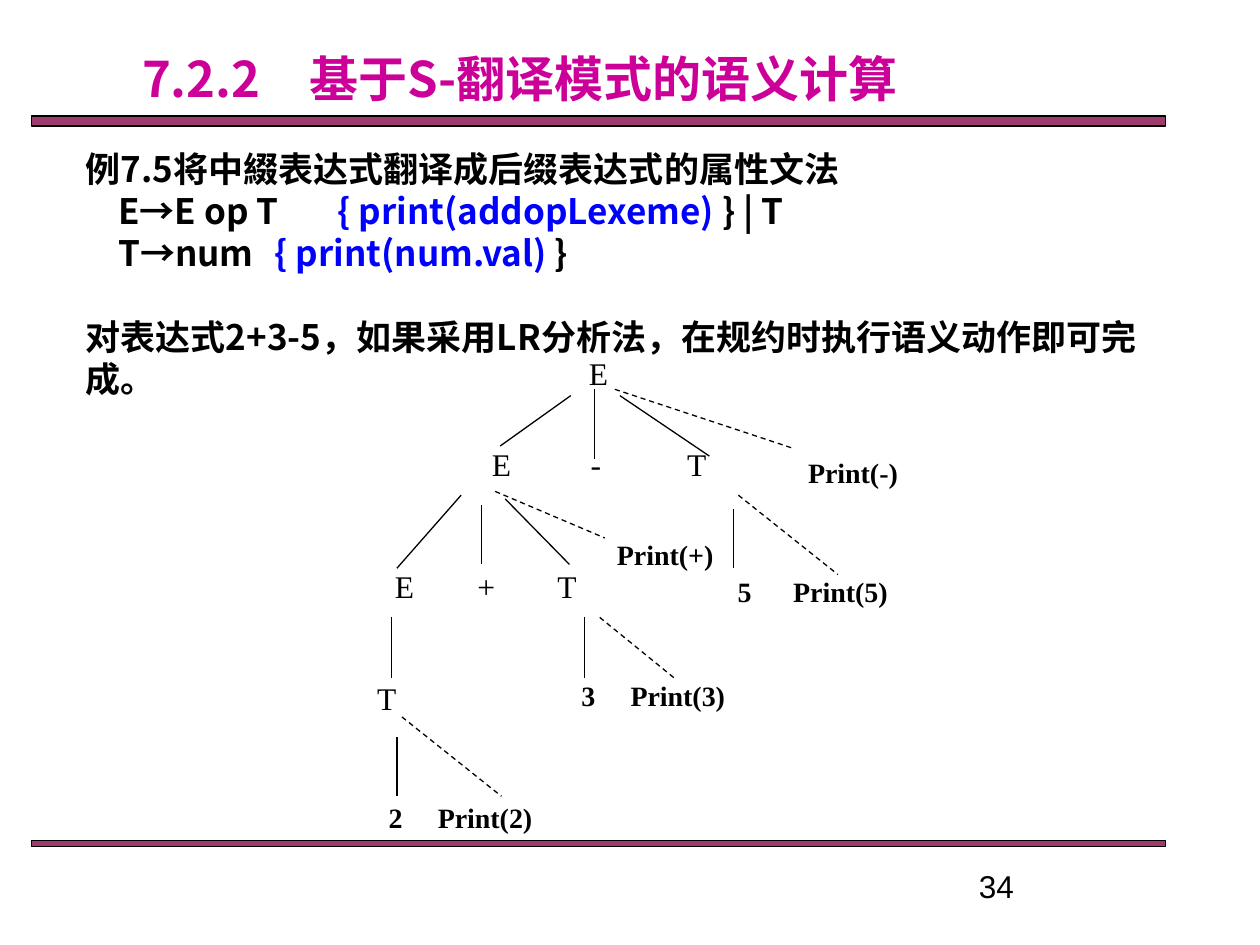
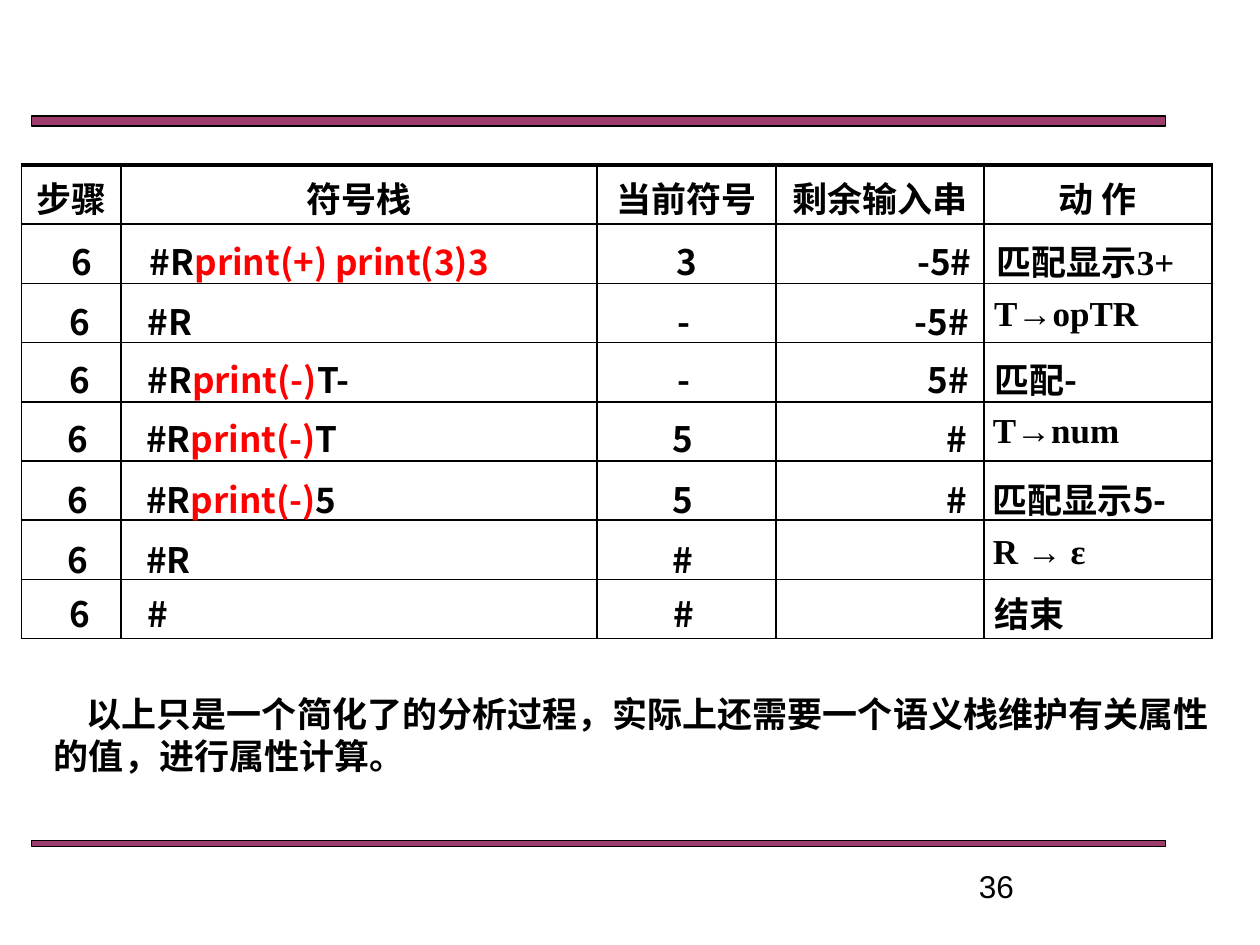
from typing import NamedTuple

from lxml import etree
from pptx import Presentation
from pptx.dml.color import RGBColor
from pptx.enum.dml import MSO_LINE
from pptx.enum.shapes import MSO_CONNECTOR, MSO_SHAPE
from pptx.enum.text import MSO_ANCHOR, MSO_AUTO_SIZE, PP_ALIGN
from pptx.oxml.ns import qn
from pptx.util import Inches, Pt

LEFT, CENTER, RIGHT = PP_ALIGN.LEFT, PP_ALIGN.CENTER, PP_ALIGN.RIGHT
TOP, MIDDLE = MSO_ANCHOR.TOP, MSO_ANCHOR.MIDDLE
NO_AUTOFIT = MSO_AUTO_SIZE.NONE
RECTANGLE = MSO_SHAPE.RECTANGLE
STRAIGHT = MSO_CONNECTOR.STRAIGHT
DASH = MSO_LINE.DASH

SANS, SERIF, NUMBER_FONT = "Noto Sans CJK SC", "Times New Roman", "Arial"
BLACK, BLUE, RED = "000000", "0000FF", "FF0000"
TITLE_COLOR, BAND_COLOR = "CC0099", "993366"
TITLE_LAYOUT, BLANK_LAYOUT = 5, 6
TEXT_PITCH = Pt(24)
INDENT, ACTION_TAB = 0.26, 1.85


class Part(NamedTuple):
    text: str
    color: str = BLACK
    font: str = SANS


HEADLINE = [Part("例7.5将中綴表达式翻译成后缀表达式的属性文法")]
RULES = [
    [Part("E→E op T\t"), Part("{ print(addopLexeme) ", BLUE), Part("} | T")],
    [Part("T→num\t"), Part("{ print(num.val) ", BLUE), Part("}")],
]
REMARK = [Part("对表达式2+3-5，如果采用LR分析法，在规约时执行语义动作即可完成。")]

SYMBOLS = [
    ("E", 4.75, 2.96),
    ("E", 3.98, 3.68), ("-", 4.73, 3.68), ("T", 5.53, 3.68),
    ("E", 3.21, 4.65), ("+", 3.86, 4.65), ("T", 4.5, 4.65),
    ("T", 3.07, 5.54),
]
NUMBERS = [("5", 5.91, 4.69), ("3", 4.67, 5.52), ("2", 3.14, 6.49)]
ACTIONS = [
    ("Print(-)", 6.77, 3.75), ("Print(+)", 5.28, 4.4),
    ("Print(5)", 6.67, 4.69), ("Print(3)", 5.38, 5.52),
    ("Print(2)", 3.85, 6.49),
]
BRANCHES = [
    (4.53, 3.14, 3.97, 3.54), (4.72, 3.09, 4.72, 3.64),
    (4.92, 3.14, 5.63, 3.62), (3.66, 3.93, 3.15, 4.51),
    (3.82, 4.01, 3.82, 4.48), (4.01, 3.96, 4.52, 4.48),
    (5.82, 4.04, 5.82, 4.51), (3.11, 4.9, 3.11, 5.38),
    (4.64, 4.9, 4.64, 5.38), (3.15, 5.85, 3.15, 6.32),
]
ACTION_BRANCHES = [
    (4.88, 3.09, 6.3, 3.56), (3.93, 3.9, 4.8, 4.27),
    (5.86, 3.93, 6.65, 4.56), (4.76, 4.9, 5.35, 5.38),
    (3.19, 5.69, 3.98, 6.32),
]

HEADINGS = ["步骤", "符号栈", "当前符号", "剩余输入串", "动 作"]
GRID_WIDTHS = [0.79, 3.78, 1.42, 1.65, 1.81]
GRID_ROW = 0.47
STEP_WIDTHS = [0.88, 3.65, 1.42, 1.65, 1.82]
STEP_ALIGNS = [CENTER, LEFT, CENTER, RIGHT, LEFT]
STEP_ROW = 0.43
STEPS = [
    (0.21, 1.81, [Part("#R"), Part("print(+) print(3)3", RED)], "3", "-5#",
     [Part("匹配显示"), Part("3+", font=SERIF)]),
    (0.19, 2.29, [Part("#R")], "-", "-5#", [Part("T→opTR", font=SERIF)]),
    (0.19, 2.75, [Part("#R"), Part("print(-)", RED), Part("T-")], "-", "5#",
     [Part("匹配-")]),
    (0.18, 3.22, [Part("#R"), Part("print(-)", RED), Part("T")], "5", "#",
     [Part("T→num", font=SERIF)]),
    (0.18, 3.7, [Part("#R"), Part("print(-)", RED), Part("5")], "5", "#",
     [Part("匹配显示5-")]),
    (0.18, 4.18, [Part("#R")], "#", "", [Part("R → ε", font=SERIF)]),
    (0.19, 4.61, [Part("#")], "#", "", [Part("结束")]),
]


def rgb(color):
    return RGBColor.from_string(color)


def write(paragraph, parts, size, bold=True, align=LEFT, pitch=None):
    paragraph.alignment = align
    paragraph.space_before = Pt(0)
    if pitch:
        paragraph.line_spacing = pitch
    for part in parts:
        run = paragraph.add_run()
        run.text = part.text
        run.font.size = Pt(size)
        run.font.bold = bold
        run.font.name = part.font
        run.font.color.rgb = rgb(part.color)
        east_asian = etree.SubElement(run.font._element, qn("a:ea"))
        east_asian.set("typeface", part.font)


def add_text(slide, box, parts, size, bold=True, align=LEFT, anchor=TOP,
             pitch=None, inset=None):
    frame = slide.shapes.add_textbox(*map(Inches, box)).text_frame
    frame.word_wrap = True
    frame.vertical_anchor = anchor
    if inset is not None:
        frame.margin_left = frame.margin_right = Inches(inset)
        frame.margin_top = frame.margin_bottom = Inches(inset)
    write(frame.paragraphs[0], parts, size, bold, align, pitch)
    return frame


def indent_first_line(paragraph):
    properties = paragraph._element.get_or_add_pPr()
    properties.set("marL", "0")
    properties.set("indent", str(Inches(INDENT)))
    return properties


def add_label(slide, text, x, y, width, size, bold):
    height = 0.36
    add_text(slide, (x - width / 2, y - height / 2, width, height),
             [Part(text, font=SERIF)], size, bold, CENTER, MIDDLE, inset=0)


def add_branch(slide, ends, dash=None):
    branch = slide.shapes.add_connector(STRAIGHT, *map(Inches, ends))
    branch.line.color.rgb = rgb(BLACK)
    branch.line.width = Pt(0.75)
    if dash:
        branch.line.dash_style = dash
    etree.SubElement(branch._element.spPr, qn("a:effectLst"))


def add_band(slide, top, height):
    band = slide.shapes.add_shape(
        RECTANGLE, Inches(0.25), Inches(top), Inches(9), Inches(height))
    band.shadow.inherit = False
    band.fill.solid()
    band.fill.fore_color.rgb = rgb(BAND_COLOR)
    tint = band._element.spPr.find(qn("a:solidFill"))[0]
    etree.SubElement(tint, qn("a:alpha")).set("val", "96000")
    band.line.color.rgb = rgb(BLACK)
    band.line.width = Pt(0.75)


def add_page(deck, layout, number):
    slide = deck.slides.add_slide(deck.slide_layouts[layout])
    add_band(slide, 0.92, 0.08)
    add_band(slide, 6.67, 0.05)
    add_text(slide, (7.67, 6.83, 2.08, 0.46),
             [Part(number, font=NUMBER_FONT)], 18, bold=False)
    return slide


def fill_title(slide, text):
    title = slide.shapes.title
    title.left, title.top = Inches(0), Inches(0.33)
    title.width, title.height = Inches(8.25), Inches(0.57)
    title.text_frame.auto_size = NO_AUTOFIT
    title.text_frame.vertical_anchor = MIDDLE
    write(title.text_frame.paragraphs[0], [Part(text, TITLE_COLOR)], 28,
          align=CENTER)


def add_example(slide):
    frame = add_text(slide, (0.58, 1.12, 8.67, 2.13), HEADLINE, 20,
                     pitch=TEXT_PITCH)
    for parts in RULES:
        rule = frame.add_paragraph()
        stops = etree.SubElement(indent_first_line(rule), qn("a:tabLst"))
        stop = etree.SubElement(stops, qn("a:tab"))
        stop.set("pos", str(Inches(ACTION_TAB)))
        stop.set("algn", "l")
        write(rule, parts, 20, pitch=TEXT_PITCH)
    remark = frame.add_paragraph()
    write(remark, REMARK, 20, pitch=TEXT_PITCH)
    remark.space_before = TEXT_PITCH


def draw_tree(slide):
    for ends in BRANCHES:
        add_branch(slide, ends)
    for ends in ACTION_BRANCHES:
        add_branch(slide, ends, DASH)
    for label in SYMBOLS:
        add_label(slide, *label, 0.4, 18, False)
    for label in NUMBERS:
        add_label(slide, *label, 0.4, 16, True)
    for label in ACTIONS:
        add_label(slide, *label, 1.1, 16, True)


def set_borders(cell, widths):
    properties = cell._tc.get_or_add_tcPr()
    for side, width in zip("LRTB", widths):
        border = etree.SubElement(properties, qn(f"a:ln{side}"))
        border.set("w", str(Pt(width)))
        if width:
            ink = etree.SubElement(border, qn("a:solidFill"))
            etree.SubElement(ink, qn("a:srgbClr")).set("val", BLACK)
        else:
            etree.SubElement(border, qn("a:noFill"))


def add_plain_table(slide, left, top, widths, row_count, row_height):
    table = slide.shapes.add_table(
        row_count, len(widths), Inches(left), Inches(top),
        Inches(sum(widths)), Inches(row_height * row_count)).table
    table.first_row = table.horz_banding = False
    for row in table.rows:
        row.height = Inches(row_height)
    for column, width in zip(table.columns, widths):
        column.width = Inches(width)
    return table


def style_cell(cell, borders):
    set_borders(cell, borders)
    cell.fill.background()
    cell.margin_bottom = Inches(0)


def add_grid(slide):
    grid = add_plain_table(slide, 0.17, 1.31, GRID_WIDTHS,
                           len(STEPS) + 1, GRID_ROW)
    for index, row in enumerate(grid.rows):
        for cell in row.cells:
            style_cell(cell, (1, 1, 1 if index else 2.25, 1))
    for cell, heading in zip(grid.rows[0].cells, HEADINGS):
        cell.margin_left = cell.margin_right = Inches(0.02)
        write(cell.text_frame.paragraphs[0], [Part(heading)], 20, align=CENTER)


def add_step(slide, left, top, stack, current, remaining, action):
    step = add_plain_table(slide, left, top, STEP_WIDTHS, 1, STEP_ROW)
    rest = [Part(remaining)] if remaining else []
    contents = [[Part("6")], stack, [Part(current)], rest, action]
    for cell, parts, align in zip(step.rows[0].cells, contents, STEP_ALIGNS):
        style_cell(cell, (0, 0, 0, 0))
        write(cell.text_frame.paragraphs[0], parts, 20, align=align)


def add_note(slide, text):
    note = add_text(slide, (0.33, 5.45, 9.39, 0.77), [Part(text)], 20,
                    pitch=TEXT_PITCH)
    indent_first_line(note.paragraphs[0])


def main():
    deck = Presentation()
    deck.slide_width, deck.slide_height = Inches(10), Inches(7.5)

    translation = add_page(deck, TITLE_LAYOUT, "34")
    fill_title(translation, "7.2.2　基于S-翻译模式的语义计算")
    add_example(translation)
    draw_tree(translation)

    analysis = add_page(deck, BLANK_LAYOUT, "36")
    add_grid(analysis)
    for step in STEPS:
        add_step(analysis, *step)
    add_note(analysis, "以上只是一个简化了的分析过程，实际上还需要一个语义栈"
                       "维护有关属性的值，进行属性计算。")

    deck.save("out.pptx")


if __name__ == "__main__":
    main()
